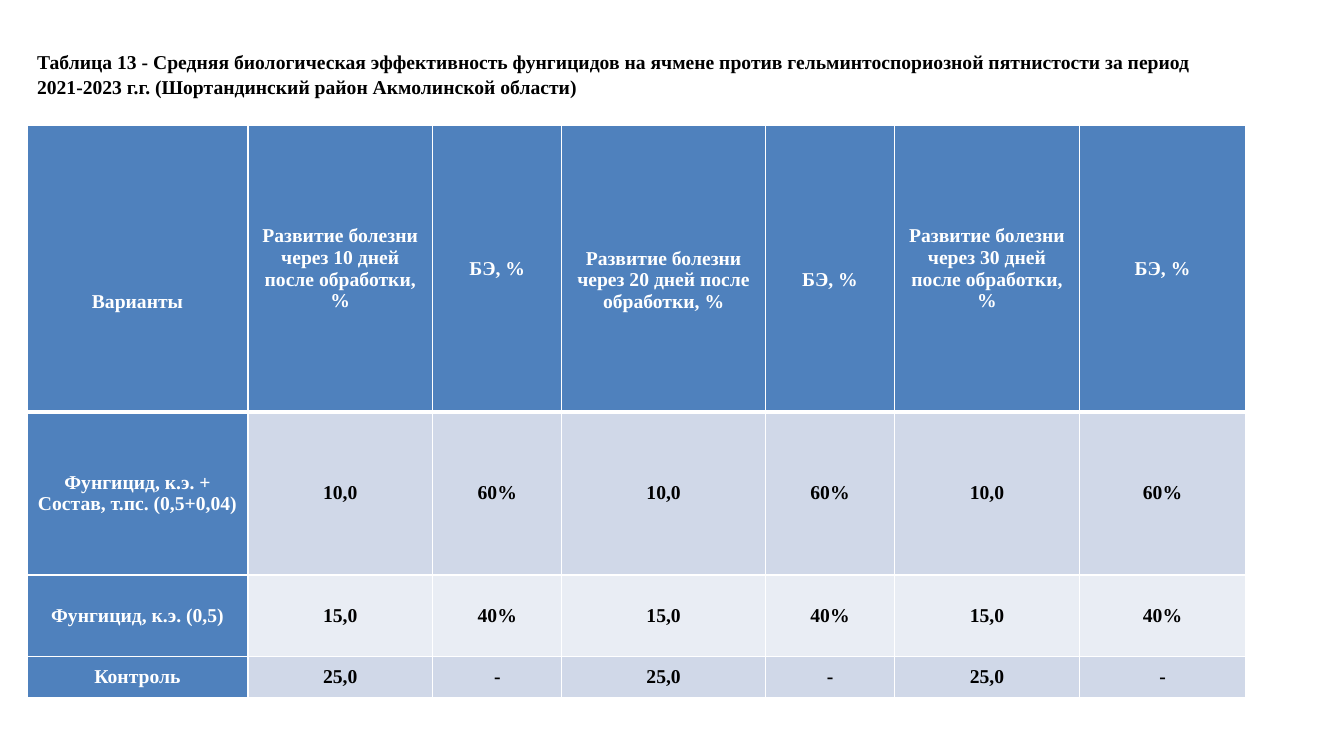
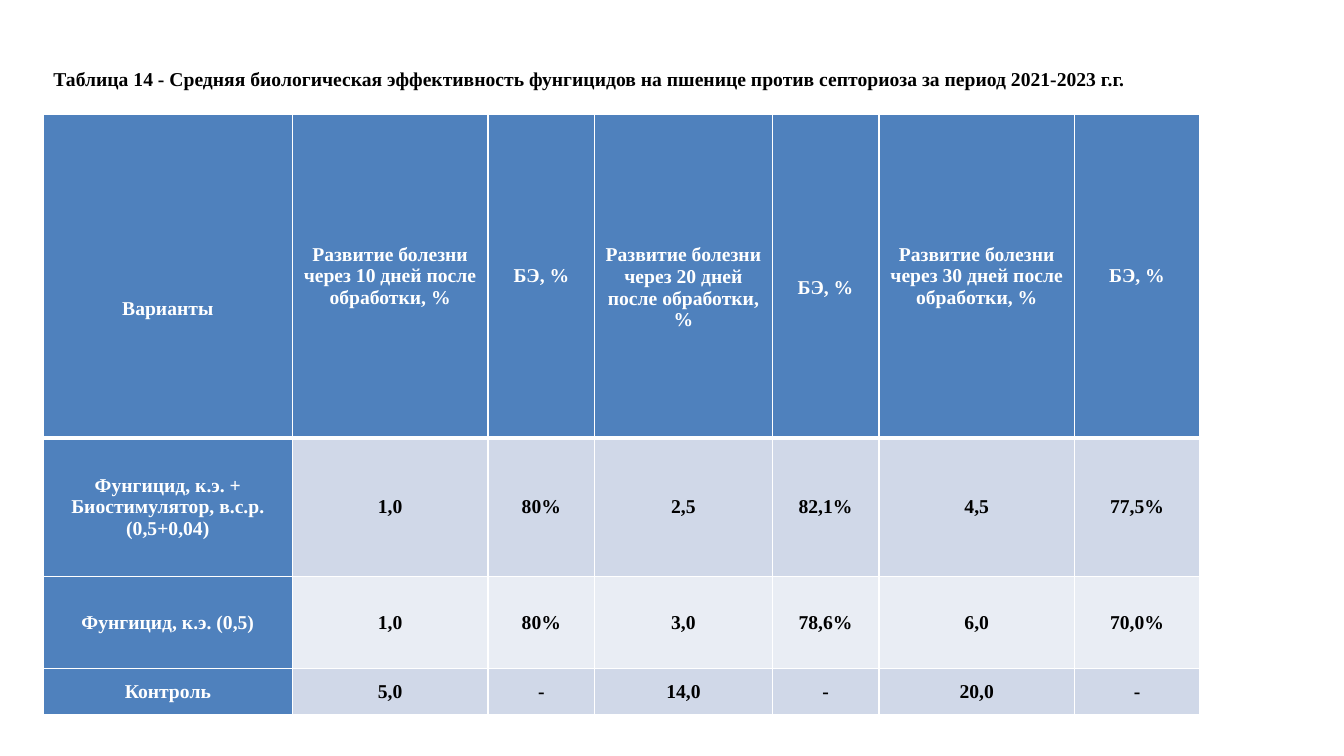
from lxml.etree import SubElement
from pptx import Presentation
from pptx.dml.color import RGBColor
from pptx.enum.text import MSO_ANCHOR, PP_ALIGN
from pptx.oxml.ns import qn
from pptx.util import Pt


def color(code):
    return RGBColor.from_string(code)


class Deck:
    face = "Times New Roman"
    size = 14
    white = "FFFFFF"
    black = "000000"
    blue = "4F81BD"
    bands = ("D0D8E8", "E9EDF4")

    def __init__(self):
        self.prs = Presentation()
        self.prs.slide_width = Pt(960)
        self.prs.slide_height = Pt(540)
        self.slide = None

    def page(self):
        self.slide = self.prs.slides.add_slide(self.prs.slide_layouts[6])

    def style(self, para, ink, align):
        para.alignment = align
        font = para.font
        font.name = self.face
        font.size = Pt(self.size)
        font.bold = True
        font.color.rgb = color(ink)

    def title(self, box, lines):
        frame = self.slide.shapes.add_textbox(*map(Pt, box)).text_frame
        frame.word_wrap = True
        frame.vertical_anchor = MSO_ANCHOR.MIDDLE
        frame.text = "\n".join(lines)
        for para in frame.paragraphs:
            self.style(para, self.black, PP_ALIGN.LEFT)
            para.line_spacing = 1.1

    def border(self, cell, row):
        widths = {"L": 1, "R": 1, "T": 3 if row == 1 else 1, "B": 3 if row == 0 else 1}
        props = cell._tc.get_or_add_tcPr()
        for place, (side, width) in enumerate(widths.items()):
            line = SubElement(props, qn(f"a:ln{side}"), w=str(Pt(width)))
            fill = SubElement(line, qn("a:solidFill"))
            SubElement(fill, qn("a:srgbClr"), val=self.white)
            props.insert(place, line)

    def cell(self, cell, text, row, col, drop):
        head = row == 0 or col == 0
        cell.text = text
        cell.vertical_anchor = MSO_ANCHOR.MIDDLE
        cell.margin_left = cell.margin_right = Pt(5)
        cell.margin_top = Pt(drop)
        cell.margin_bottom = Pt(0)
        cell.fill.solid()
        cell.fill.fore_color.rgb = color(self.blue if head else self.bands[(row - 1) % 2])
        self.style(cell.text_frame.paragraphs[0], self.white if head else self.black, PP_ALIGN.CENTER)
        self.border(cell, row)

    def table(self, left, top, widths, heights, rows, drops):
        grid = self.slide.shapes.add_table(
            len(heights), len(widths), Pt(left), Pt(top), Pt(sum(widths)), Pt(sum(heights))
        ).table
        for col, width in zip(grid.columns, widths):
            col.width = Pt(width)
        for row, height in zip(grid.rows, heights):
            row.height = Pt(height)
        for r, texts in enumerate(rows):
            for c, text in enumerate(texts):
                self.cell(grid.cell(r, c), text, r, c, drops.get(c, 0) if r == 0 else 0)


HEAD = ["Варианты"]
for days in (10, 20, 30):
    HEAD += [f"Развитие болезни через {days} дней после обработки, %", "БЭ, %"]
DROPS = {0: 47, 3: 16.5, 4: 16.5}

PAGES = [
    dict(
        box=(19.4, 31.7, 850, 41),
        title=[
            "Таблица 13 - Средняя биологическая эффективность фунгицидов на ячмене "
            "против гельминтоспориозной пятнистости за период",
            "2021-2023 г.г. (Шортандинский район Акмолинской области)",
        ],
        left=19.4,
        top=89.6,
        widths=[157.7, 132, 92.3, 145.4, 92.3, 132, 118.8],
        heights=[204.5, 116.6, 58.3, 29.3],
        body=[
            ["Фунгицид, к.э. + Состав, т.пс. (0,5+0,04)"] + ["10,0", "60%"] * 3,
            ["Фунгицид, к.э. (0,5)"] + ["15,0", "40%"] * 3,
            ["Контроль"] + ["25,0", "-"] * 3,
        ],
    ),
    dict(
        box=(31, 43.2, 788, 24.5),
        title=[
            "Таблица 14 - Средняя биологическая эффективность фунгицидов на пшенице "
            "против септориоза за период 2021-2023 г.г."
        ],
        left=31,
        top=81.8,
        widths=[177.8, 139.8, 76.3, 126.7, 76.3, 139.8, 89.2],
        heights=[231, 98.8, 66.2, 33],
        body=[
            ["Фунгицид, к.э. + Биостимулятор, в.с.р. (0,5+0,04)",
             "1,0", "80%", "2,5", "82,1%", "4,5", "77,5%"],
            ["Фунгицид, к.э. (0,5)", "1,0", "80%", "3,0", "78,6%", "6,0", "70,0%"],
            ["Контроль", "5,0", "-", "14,0", "-", "20,0", "-"],
        ],
    ),
]


def main():
    deck = Deck()
    for page in PAGES:
        deck.page()
        deck.table(page["left"], page["top"], page["widths"], page["heights"],
                   [HEAD] + page["body"], DROPS)
        deck.title(page["box"], page["title"])
    deck.prs.save("out.pptx")


if __name__ == "__main__":
    main()
